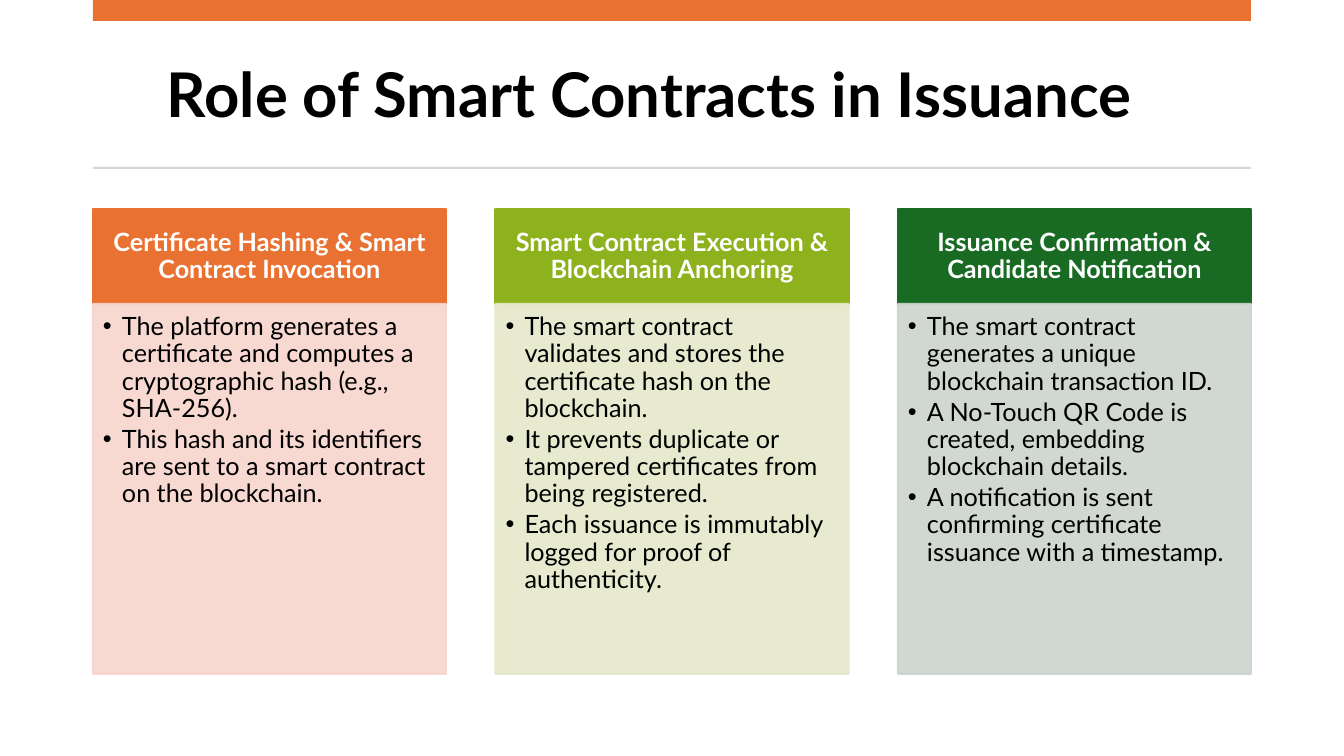
"""Builds a slide on the role of smart contracts in certificate issuance."""
from lxml.etree import SubElement
from pptx import Presentation
from pptx.dml.color import RGBColor
from pptx.enum.shapes import MSO_SHAPE
from pptx.enum.text import MSO_ANCHOR, PP_ALIGN
from pptx.oxml.ns import qn
from pptx.util import Pt

TITLE = "Role of Smart Contracts in Issuance"
STAGES = [
    ("Certificate Hashing & Smart Contract Invocation", "E97132", "F7D5CE", [
        "The platform generates a certificate and computes a cryptographic hash (e.g., SHA-256).",
        "This hash and its identifiers are sent to a smart contract on the blockchain.",
    ]),
    ("Smart Contract Execution & Blockchain Anchoring", "8EB21E", "E5E8CA", [
        "The smart contract validates and stores the certificate hash on the blockchain.",
        "It prevents duplicate or tampered certificates from being registered.",
        "Each issuance is immutably logged for proof of authenticity.",
    ]),
    ("Issuance Confirmation & Candidate Notification", "196B24", "CCD4CD", [
        "The smart contract generates a unique blockchain transaction ID.",
        "A No-Touch QR Code is created, embedding blockchain details.",
        "A notification is sent confirming certificate issuance with a timestamp.",
    ]),
]
FONT = "Lato"
LEFT, WIDTH = 93, 1158
COL_W = 353
STEP = (WIDTH - COL_W) / (len(STAGES) - 1)
HEAD_Y, HEAD_H, BODY_H = 209, 95, 370
INDENT = 19


def px(n):
    return round(n * 12192000 / 1344)


def color(code):
    return RGBColor.from_string(code)


def box(slide, x, y, w, h, fill, edge=False, alpha=None):
    shape = slide.shapes.add_shape(MSO_SHAPE.RECTANGLE, px(x), px(y), px(w), px(h))
    shape.shadow.inherit = False
    shape.fill.solid()
    shape.fill.fore_color.rgb = color(fill)
    if edge:
        shape.line.color.rgb = color(fill)
        shape.line.width = Pt(1.5)
    else:
        shape.line.fill.background()
    if alpha:
        for tone in shape._element.spPr.iter(qn("a:srgbClr")):
            SubElement(tone, qn("a:alpha"), val=str(alpha * 1000))
    return shape


def write(frame, lines, size, tone, bold=False, align=PP_ALIGN.LEFT):
    frame.word_wrap = True
    frame.text = "\n".join(lines)
    for par in frame.paragraphs:
        par.alignment = align
        font = par.runs[0].font
        font.name, font.size, font.bold = FONT, Pt(size), bold
        font.color.rgb = color(tone)


def inset(frame, *sides):
    (frame.margin_left, frame.margin_top,
     frame.margin_right, frame.margin_bottom) = map(px, sides)


def bullet(par):
    props = par._p.get_or_add_pPr()
    props.set("marL", str(px(INDENT)))
    props.set("indent", str(-px(INDENT)))
    SubElement(props, qn("a:buFont"), typeface="Arial")
    SubElement(props, qn("a:buChar"), char="•")


def stage(slide, x, head, dark, pale, points):
    top = box(slide, x, HEAD_Y, COL_W, HEAD_H, dark, edge=True).text_frame
    inset(top, 14, 8, 14, 8)
    top.vertical_anchor = MSO_ANCHOR.MIDDLE
    write(top, [head], 18, "FFFFFF", True, PP_ALIGN.CENTER)
    top.paragraphs[0].line_spacing = 0.9

    body = box(slide, x, HEAD_Y + HEAD_H, COL_W, BODY_H, pale, edge=True, alpha=90).text_frame
    inset(body, 10, 10, 14, 16)
    body.vertical_anchor = MSO_ANCHOR.TOP
    write(body, points, 18, "000000")
    for par in body.paragraphs:
        par.line_spacing = 0.9
        par.space_after = Pt(2.7)
        bullet(par)


def main():
    deck = Presentation()
    deck.slide_width, deck.slide_height = px(1344), px(756)
    slide = deck.slides.add_slide(deck.slide_layouts[6])
    box(slide, LEFT, 0, WIDTH, 21, "E97132")
    box(slide, LEFT, 167, WIDTH, 2, "D5D5D5")
    for i, item in enumerate(STAGES):
        stage(slide, LEFT + i * STEP, *item)
    title = slide.shapes.add_textbox(px(157), px(51), px(1107), px(85))
    write(title.text_frame, [TITLE], 44, "000000", True)
    deck.save("out.pptx")


if __name__ == "__main__":
    main()
